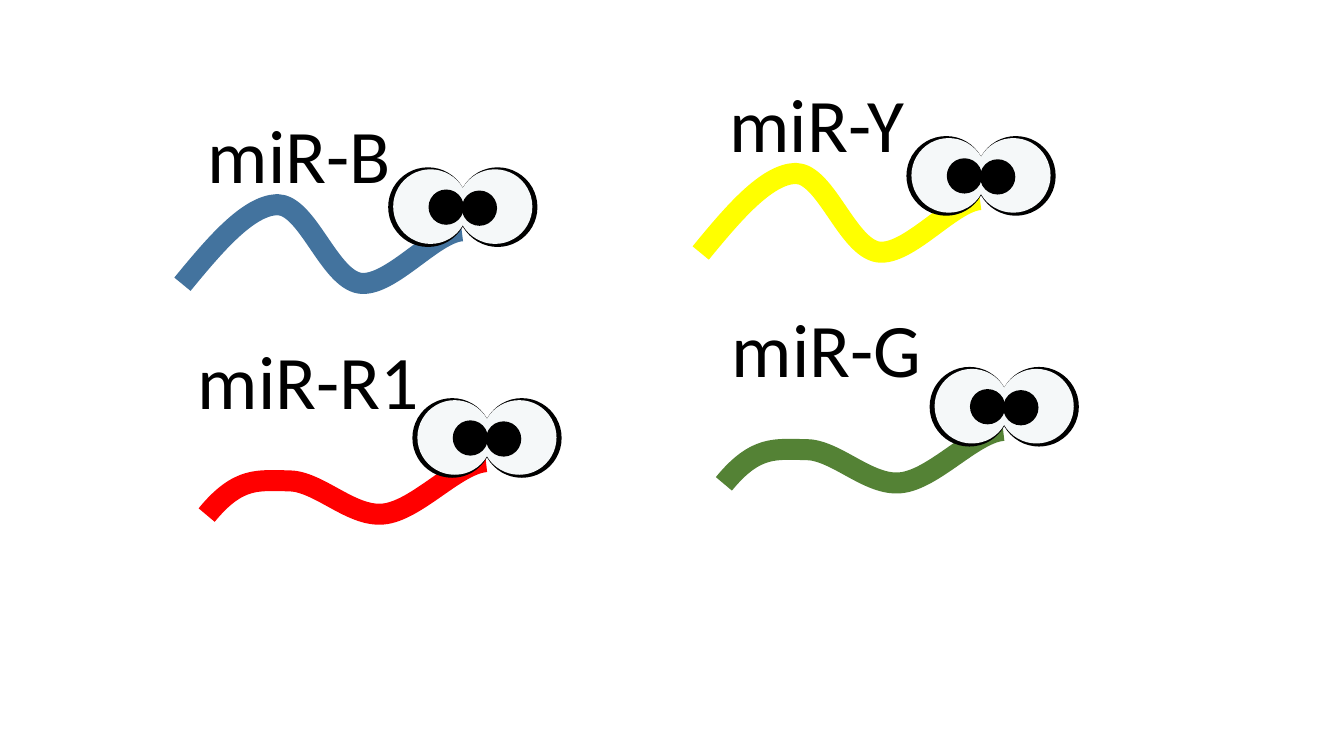
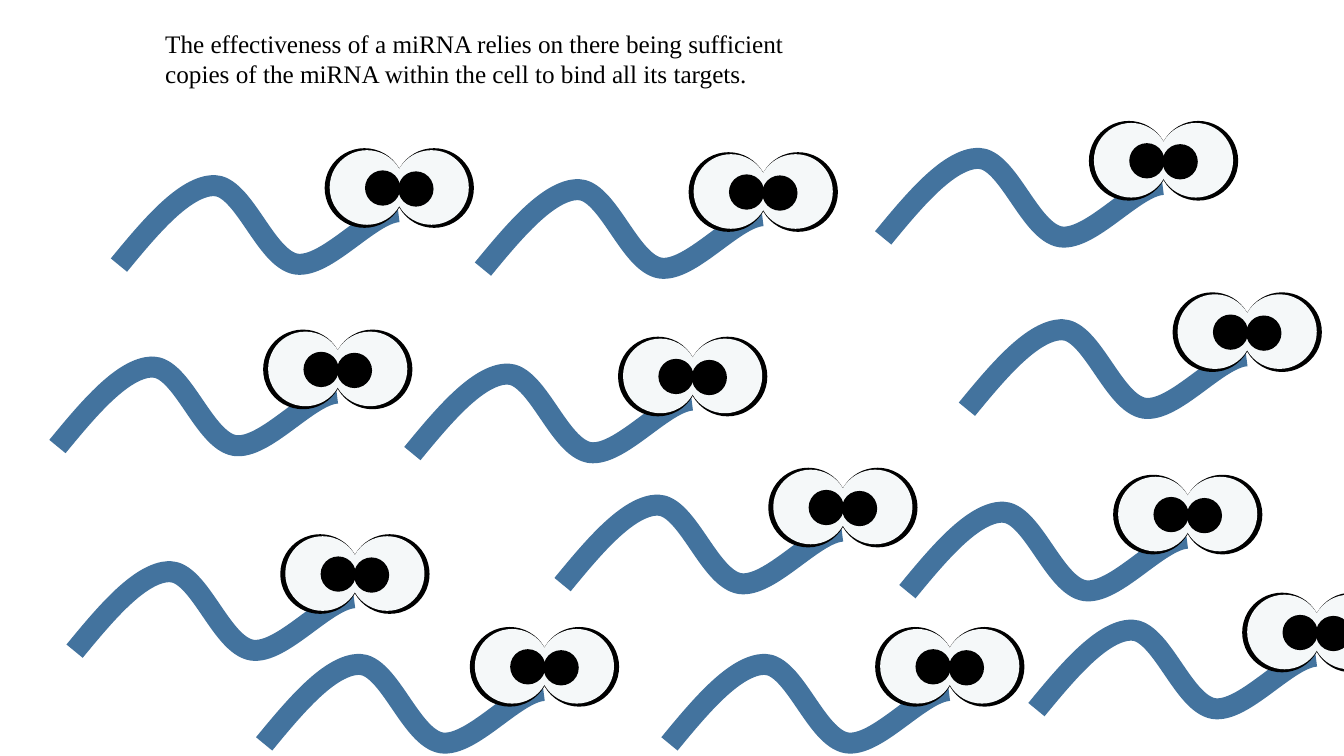
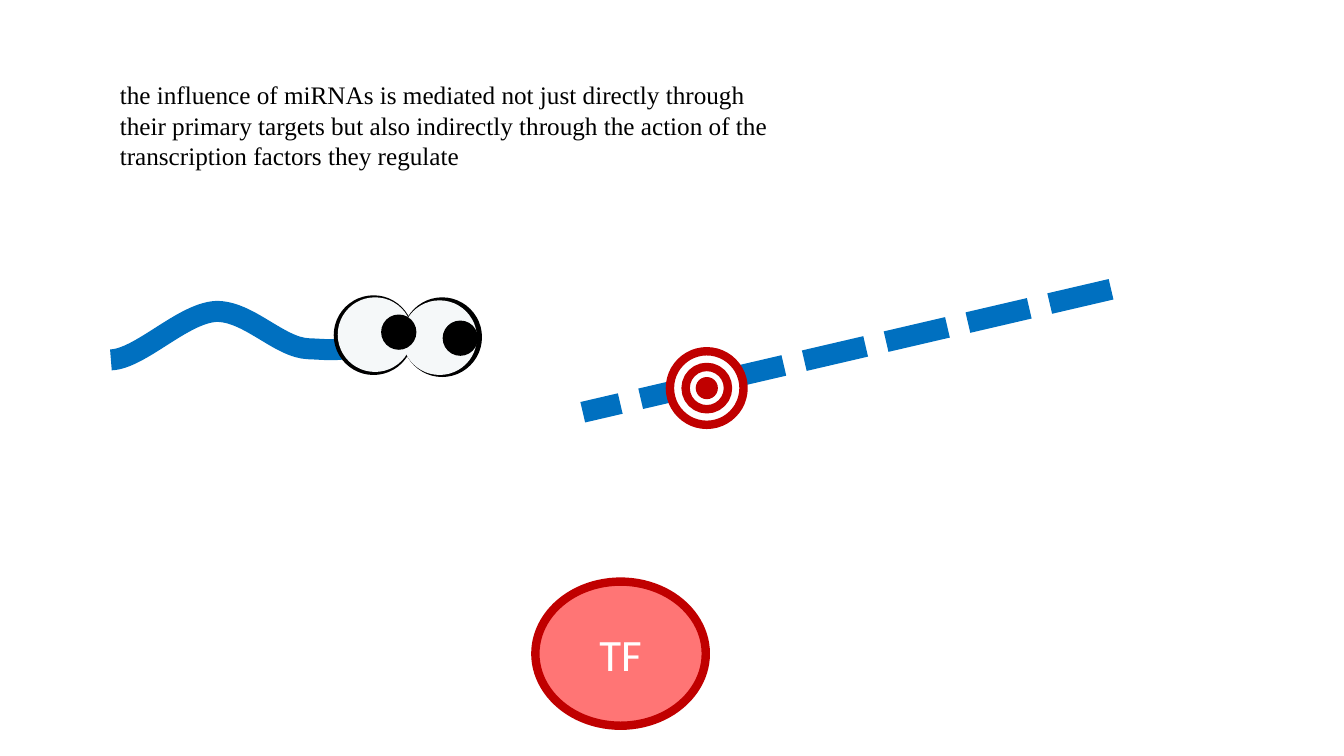
from pptx import Presentation
from pptx.dml.color import RGBColor
from pptx.enum.dml import MSO_LINE
from pptx.enum.shapes import MSO_CONNECTOR, MSO_SHAPE
from pptx.enum.text import MSO_ANCHOR, MSO_AUTO_SIZE, PP_ALIGN
from pptx.oxml.ns import qn
from pptx.util import Inches, Pt
from lxml.etree import SubElement

COLORS = {
    "black": "000000", "white": "FFFFFF", "eye": "F5F8F9",
    "steel": "43739E", "red": "FF0000", "yellow": "FFFF00",
    "green": "548235", "blue": "0070C0", "crimson": "C00000", "pink": "FF7575",
}
RGB = {name: RGBColor.from_string(value) for name, value in COLORS.items()}
STRAND_WIDTH = Pt(15)

TALL_WAVE = [(-2.77, 0.53), (-2.45, 0.14), (-2.12, -0.25), (-1.83, -0.26), (-1.53, -0.26),
             (-1.32, 0.47), (-1.01, 0.52), (-0.71, 0.56), (-0.28, 0.02), (0, 0)]
FLAT_WAVE = [(-2.77, 0.53), (-2.45, 0.14), (-2.25, 0.19), (-1.96, 0.19), (-1.66, 0.19),
             (-1.34, 0.55), (-1.02, 0.52), (-0.69, 0.49), (-0.29, 0.02), (0, 0)]
TURNED_WAVE = [(0, 0), (-0.34, 0.38), (-0.53, 0.32), (-0.83, 0.31), (-1.12, 0.3),
               (-1.43, -0.07), (-1.75, -0.06), (-2.08, -0.04), (-2.5, 0.41), (-2.79, 0.42)]
EYE_PARTS = [(0.79, "black"), (0.79, "black"), (0.74, "eye"),
             (0.74, "eye"), (0.35, "black"), (0.35, "black")]
LEVEL_EYES = [(-0.73, -0.63), (-0.04, -0.63), (-0.68, -0.61),
              (-0.04, -0.61), (-0.33, -0.41), (0, -0.4)]
TURNED_EYES = [(0.1, -0.2), (-0.58, -0.22), (0.1, -0.17),
               (-0.54, -0.2), (0.5, 0.03), (-0.11, -0.03)]


def add_oval(shapes, left, top, width, height, fill, outline=None):
    oval = shapes.add_shape(MSO_SHAPE.OVAL, Inches(left), Inches(top), Inches(width), Inches(height))
    oval.shadow.inherit = False
    oval.fill.solid()
    oval.fill.fore_color.rgb = RGB[fill]
    if outline:
        oval.line.color.rgb = RGB[outline]
        oval.line.width = Pt(6)
    else:
        oval.line.fill.background()
    return oval


def add_mirna(strand_shapes, eye_shapes, neck_x, neck_y, color, wave=TALL_WAVE, eyes=LEVEL_EYES):
    points = [(Inches(neck_x + x), Inches(neck_y + y)) for x, y in wave]
    builder = strand_shapes.build_freeform(*points[0])
    builder.add_line_segments(points[1:], close=False)
    strand = builder.convert_to_shape()
    segments = list(strand._element.iter(qn("a:lnTo")))
    for first in range(0, len(segments), 3):
        curve = SubElement(segments[first].getparent(), qn("a:cubicBezTo"))
        for segment in segments[first:first + 3]:
            curve.append(segment[0])
            segment.getparent().remove(segment)
    strand.shadow.inherit = False
    strand.fill.background()
    strand.line.color.rgb = RGB[color]
    strand.line.width = STRAND_WIDTH
    for (dx, dy), (size, fill) in zip(eyes, EYE_PARTS):
        add_oval(eye_shapes, neck_x + dx, neck_y + dy, size, size, fill)


presentation = Presentation()
presentation.slide_width = Inches(13.33)
presentation.slide_height = Inches(7.5)
blank = presentation.slide_layouts[6]
family_slide, copies_slide, factor_slide = [presentation.slides.add_slide(blank) for _ in range(3)]

for neck_x, neck_y, color, wave in [
    (4.58, 2.29, "steel", TALL_WAVE),
    (4.82, 4.58, "red", FLAT_WAVE),
    (9.72, 1.98, "yellow", TALL_WAVE),
    (9.95, 4.27, "green", FLAT_WAVE),
]:
    eye_group = family_slide.shapes.add_group_shape()
    add_mirna(family_slide.shapes, eye_group.shapes, neck_x, neck_y, color, wave)
    family_slide.shapes._spTree.append(eye_group._element)

LABEL = ("Calibri", 54, PP_ALIGN.CENTER, False)
STATEMENT = ("Times New Roman", 18, PP_ALIGN.LEFT, True)
for slide, left, top, width, height, text, style in [
    (family_slide, 1.95, 1.02, 2.04, 1.01, "miR-B", LABEL),
    (family_slide, 1.85, 3.26, 2.42, 1.01, "miR-R1", LABEL),
    (family_slide, 7.11, 0.71, 1.99, 1.01, "miR-Y", LABEL),
    (family_slide, 7.15, 2.95, 2.1, 1.01, "miR-G", LABEL),
    (copies_slide, 1.54, 0.23, 6.67, 0.71,
     "The effectiveness of a miRNA relies on there being sufficient copies of the miRNA "
     "within the cell to bind all its targets.", STATEMENT),
    (factor_slide, 1.09, 0.74, 6.67, 1.01,
     "the influence of miRNAs is mediated not just directly through their primary targets "
     "but also indirectly through the action of the transcription factors they regulate", STATEMENT),
]:
    font_name, size, alignment, wrap = style
    box = slide.shapes.add_textbox(Inches(left), Inches(top), Inches(width), Inches(height))
    box.text_frame.word_wrap = wrap
    box.text_frame.auto_size = MSO_AUTO_SIZE.SHAPE_TO_FIT_TEXT
    paragraph = box.text_frame.paragraphs[0]
    paragraph.text = text
    paragraph.alignment = alignment
    paragraph.font.name = font_name
    paragraph.font.size = Pt(size)
    paragraph.font.color.rgb = RGB["black"]

for neck_x, neck_y in [
    (3.95, 2.1), (3.34, 3.9), (3.51, 5.93), (5.39, 6.85),
    (7.56, 2.14), (6.86, 3.97), (8.35, 5.27), (9.41, 6.85),
    (11.53, 1.83), (12.36, 3.53), (11.77, 5.34), (13.05, 6.51),
]:
    mirna = copies_slide.shapes.add_group_shape().shapes
    add_mirna(mirna, mirna, neck_x, neck_y, "steel")

mirna = factor_slide.shapes.add_group_shape().shapes
add_mirna(mirna, mirna, 3.89, 3.15, "blue", TURNED_WAVE, TURNED_EYES)

target_strand = factor_slide.shapes.add_connector(
    MSO_CONNECTOR.STRAIGHT, Inches(11.02), Inches(2.87), Inches(5.78), Inches(4.09))
target_strand.line.color.rgb = RGB["blue"]
target_strand.line.width = STRAND_WIDTH
target_strand.line.dash_style = MSO_LINE.SQUARE_DOT
SubElement(target_strand._element.spPr, qn("a:effectLst"))

bullseye = factor_slide.shapes.add_group_shape().shapes
for size, fill, outline in [(0.73, "white", "crimson"), (0.42, "white", "crimson"), (0.22, "crimson", None)]:
    add_oval(bullseye, 7.01 - size / 2, 3.85 - size / 2, size, size, fill, outline)

factor = add_oval(factor_slide.shapes, 5.31, 5.77, 1.69, 1.43, "pink", "crimson")
factor.text_frame.vertical_anchor = MSO_ANCHOR.MIDDLE
paragraph = factor.text_frame.paragraphs[0]
paragraph.text = "TF"
paragraph.alignment = PP_ALIGN.CENTER
paragraph.font.name = "Calibri"
paragraph.font.size = Pt(32)
paragraph.font.color.rgb = RGB["white"]

presentation.save("out.pptx")
